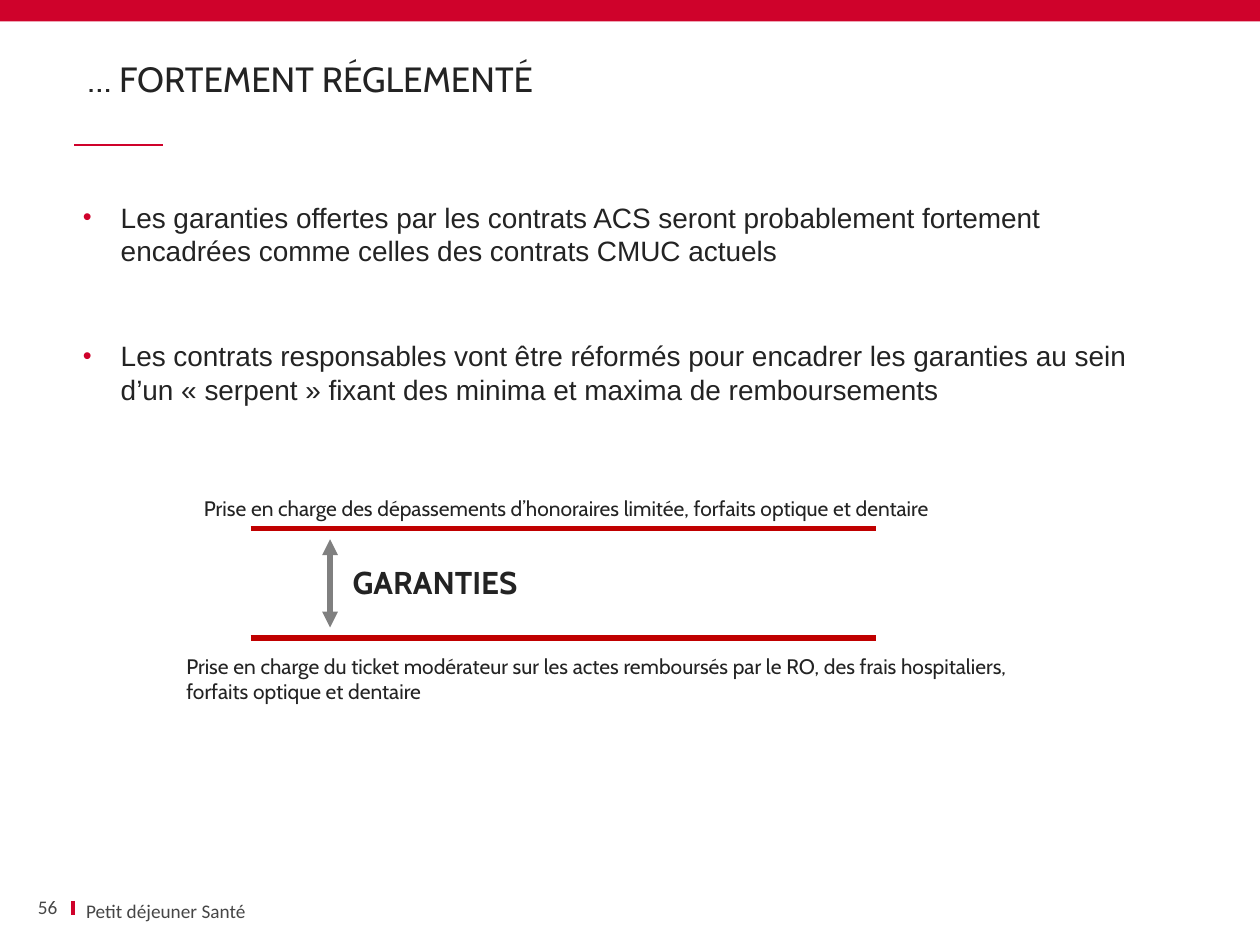
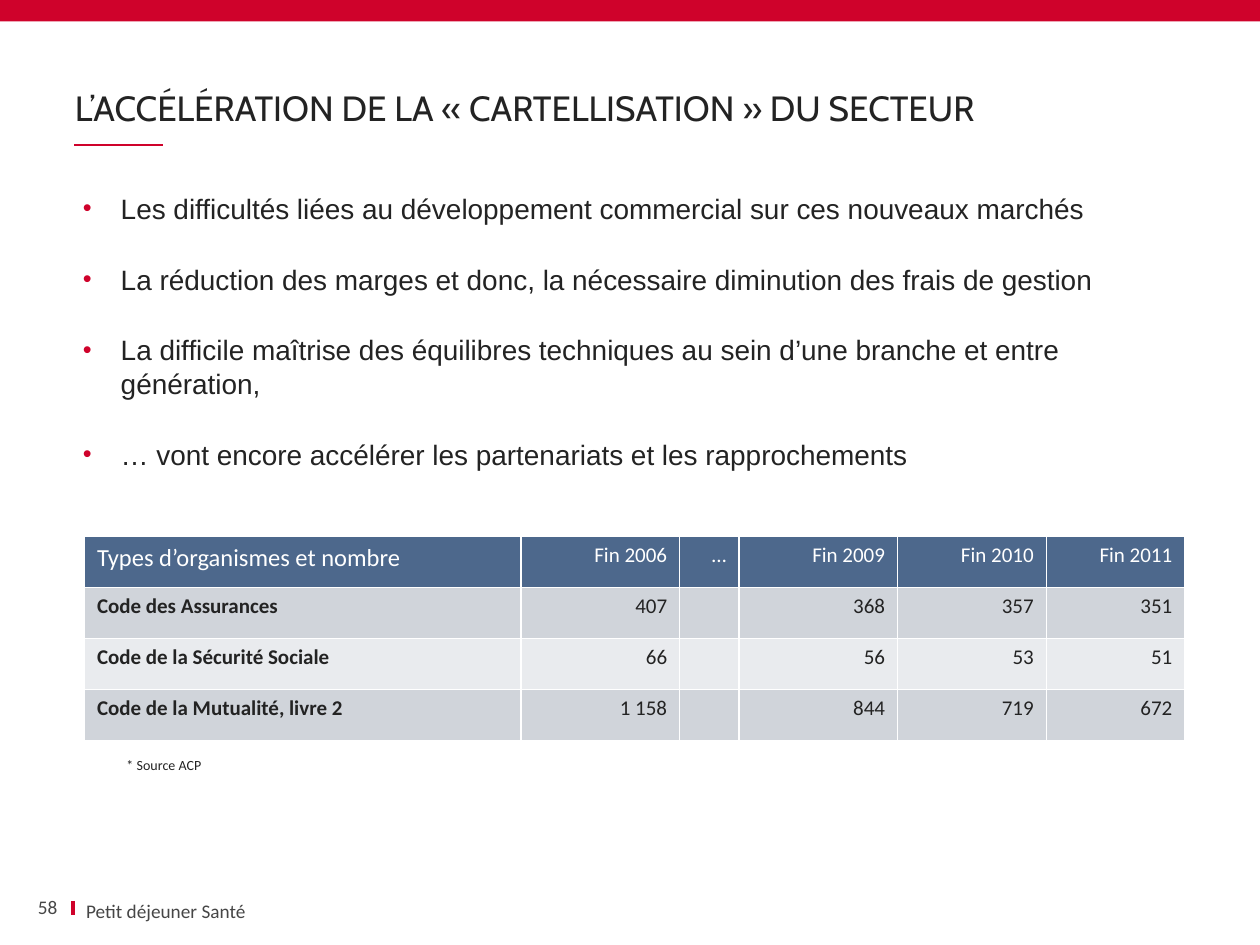
from dataclasses import dataclass

from pptx import Presentation
from pptx.dml.color import RGBColor
from pptx.enum.shapes import MSO_CONNECTOR as Connector, MSO_SHAPE as Shape
from pptx.enum.text import MSO_ANCHOR as Anchor, MSO_AUTO_SIZE as AutoSize, PP_ALIGN as Align
from pptx.oxml import parse_xml
from pptx.oxml.ns import nsdecls, qn
from pptx.util import Inches, Pt

COLUMNS, ROWS = 100, 75
SLIDE_WIDTH, SLIDE_HEIGHT = Inches(10), Inches(7.5)
TITLE_ONLY = 5


@dataclass(frozen=True)
class Theme:
    red: str = "CF022B"
    dark_red: str = "C00000"
    grey: str = "808080"
    ink: str = "232323"
    footer_ink: str = "464646"
    white: str = "FFFFFF"
    header: str = "4D688C"
    bands: tuple = ("D0D4DA", "E9EBEE")
    heading_font: str = "Cabin"
    body_font: str = "Arial"
    table_font: str = "Calibri"
    title: int = 20
    label: int = 18
    body: int = 16
    table_title: int = 14
    text: int = 12
    footer: int = 11
    note: int = 8


THEME = Theme()


@dataclass(frozen=True)
class Box:
    """A rectangle in grid columns and rows."""
    left: float
    top: float
    width: float
    height: float

    def inner(self, left, top, width, height):
        return Box(self.left + left, self.top + top, width, height)

    def lengths(self):
        column, row = SLIDE_WIDTH / COLUMNS, SLIDE_HEIGHT / ROWS
        return [round(value) for value in (self.left * column, self.top * row,
                                           self.width * column, self.height * row)]


PAGE = Box(0, 0, COLUMNS, ROWS)


def set_values(target, values):
    for name, value in values.items():
        setattr(target, name, value)


def set_font(paragraph, size, name, color=THEME.ink, bold=False):
    set_values(paragraph.font, {"size": Pt(size), "name": name, "bold": bold})
    paragraph.font.color.rgb = RGBColor.from_string(color)


def set_fill(target, color):
    target.fill.solid()
    target.fill.fore_color.rgb = RGBColor.from_string(color)


def add_text(slide, box, text, size, font=THEME.heading_font, color=THEME.ink,
             bold=False, align=Align.LEFT, **frame_values):
    frame = slide.shapes.add_textbox(*box.lengths()).text_frame
    set_values(frame, {"word_wrap": True, **frame_values})
    paragraph = frame.paragraphs[0]
    set_values(paragraph, {"text": text, "alignment": align})
    set_font(paragraph, size, font, color, bold)


def add_line(slide, box, color, weight, arrows=False):
    """Draw from the box's top left corner to its bottom right corner."""
    left, top, width, height = box.lengths()
    line = slide.shapes.add_connector(Connector.STRAIGHT, left, top, left + width, top + height)
    line.line.color.rgb = RGBColor.from_string(color)
    line.line.width = Pt(weight)
    properties = line.element.spPr
    if arrows:
        for end in ("headEnd", "tailEnd"):
            properties.find(qn("a:ln")).append(
                parse_xml(f'<a:{end} {nsdecls("a")} type="triangle"/>'))
    properties.append(parse_xml(f'<a:effectLst {nsdecls("a")}/>'))


def add_footer(slide, box, number):
    style = {"size": THEME.footer, "font": THEME.table_font, "color": THEME.footer_ink,
             "vertical_anchor": Anchor.MIDDLE}
    add_text(slide, box.inner(0, 0, 3.25, 1.8), str(number), align=Align.RIGHT,
             margin_left=0, margin_right=0, **style)
    add_line(slide, box.inner(4.5, 0.4, 0, 1.1), THEME.red, 2.25)
    add_text(slide, box.inner(4.55, 0.25, 49.7, 1.8), "Petit déjeuner Santé", **style)


def add_title(slide, box, text, anchor, margin):
    slide.shapes.title.text = text
    set_values(slide.shapes.title, dict(zip(("left", "top", "width", "height"), box.lengths())))
    frame = slide.shapes.title.text_frame
    set_values(frame, {"vertical_anchor": anchor, "auto_size": AutoSize.NONE,
                       "word_wrap": True, "margin_left": margin, "margin_right": margin})
    paragraph = frame.paragraphs[0]
    set_values(paragraph, {"alignment": Align.LEFT, "line_spacing": 0.9})
    set_font(paragraph, THEME.title, THEME.heading_font)


def add_page(presentation, number, title, anchor=Anchor.BOTTOM, margin=0):
    """Add a slide with the band, title, rule and footer that all slides share."""
    slide = presentation.slides.add_slide(presentation.slide_layouts[TITLE_ONLY])
    band = slide.shapes.add_shape(Shape.RECTANGLE, *PAGE.inner(0, 0, COLUMNS, 1.7).lengths())
    band.shadow.inherit = False
    set_fill(band, THEME.red)
    band.line.fill.background()
    add_title(slide, PAGE.inner(5.95, 2.17, 88, 8.6), title, anchor, margin)
    add_line(slide, PAGE.inner(5.9, 11.5, 7, 0), THEME.red, 1)
    add_footer(slide, PAGE.inner(1.3, 71.1, 60, 2.1), number)
    return slide


def add_bullets(slide, box, texts, gap):
    frame = slide.shapes.add_textbox(*box.lengths()).text_frame
    frame.word_wrap = True
    for index, text in enumerate(texts):
        paragraph = frame.paragraphs[0] if index == 0 else frame.add_paragraph()
        set_values(paragraph, {"text": text, "space_before": Pt(gap if index else 0)})
        properties = paragraph._p.get_or_add_pPr()
        properties.set("marL", str(Inches(0.3)))
        properties.set("indent", str(-Inches(0.3)))
        for element in (f'<a:buClr {nsdecls("a")}><a:srgbClr val="{THEME.red}"/></a:buClr>',
                        f'<a:buSzPct {nsdecls("a")} val="90000"/>',
                        f'<a:buFont {nsdecls("a")} typeface="{THEME.body_font}"/>',
                        f'<a:buChar {nsdecls("a")} char="•"/>'):
            properties.append(parse_xml(element))
        set_font(paragraph, THEME.body, THEME.body_font)


def add_corridor(slide, box, ceiling, label, floor):
    """Show a label between two limits, each with its caption outside."""
    add_text(slide, box.inner(1.4, 0, 79.5, 3.1), ceiling, THEME.text)
    for row in (3.15, 11.83):
        add_line(slide, box.inner(6.1, row, 49.6, 0), THEME.dark_red, 3)
    add_line(slide, box.inner(12.4, 4, 0, 7), THEME.grey, 3, arrows=True)
    add_text(slide, box.inner(13.2, 5.4, 36.2, 4), label, THEME.label, bold=True)
    add_text(slide, box.inner(0, 12.6, 69.5, 5), floor, THEME.text)


def set_borders(cell, color):
    properties = cell._tc.get_or_add_tcPr()
    for index, side in enumerate(("lnL", "lnR", "lnT", "lnB")):
        properties.insert(index, parse_xml(
            f'<a:{side} {nsdecls("a")} w="{Pt(1)}"><a:solidFill>'
            f'<a:srgbClr val="{color}"/></a:solidFill></a:{side}>'))


def add_count_table(slide, box, column_widths, rows):
    table = slide.shapes.add_table(len(rows), len(column_widths), *box.lengths()).table
    set_values(table, {"first_row": False, "horz_banding": False})
    for column, width in zip(table.columns, column_widths):
        column.width = round(width * SLIDE_WIDTH / COLUMNS)
    for row_index, values in enumerate(rows):
        is_header = row_index == 0
        for column_index, value in enumerate(values):
            is_name = column_index == 0
            cell = table.cell(row_index, column_index)
            set_fill(cell, THEME.header if is_header else THEME.bands[(row_index - 1) % 2])
            set_borders(cell, THEME.white)
            paragraph = cell.text_frame.paragraphs[0]
            set_values(paragraph, {"text": value,
                                   "alignment": Align.LEFT if is_name else Align.RIGHT})
            set_font(paragraph, THEME.table_title if is_header and is_name else THEME.text,
                     THEME.table_font, THEME.white if is_header else THEME.ink,
                     bold=is_name and not is_header)


def build_regulation_slide(presentation):
    slide = add_page(presentation, 56, "… FORTEMENT RÉGLEMENTÉ", Anchor.MIDDLE, Inches(0.1))
    add_bullets(slide, PAGE.inner(5.6, 15.4, 88.5, 20), [
        "Les garanties offertes par les contrats ACS seront probablement fortement "
        "encadrées comme celles des contrats CMUC actuels",
        "Les contrats responsables vont être réformés pour encadrer les garanties au sein "
        "d’un « serpent » fixant des minima et maxima de remboursements",
    ], gap=40.7)
    add_corridor(
        slide, PAGE.inner(13.8, 38.8, 81, 17.6),
        "Prise en charge des dépassements d’honoraires limitée, forfaits optique et dentaire",
        "GARANTIES",
        "Prise en charge du ticket modérateur sur les actes remboursés par le RO, "
        "des frais hospitaliers, forfaits optique et dentaire")


def build_consolidation_slide(presentation):
    slide = add_page(presentation, 58, "L’ACCÉLÉRATION DE LA « CARTELLISATION » DU SECTEUR")
    add_bullets(slide, PAGE.inner(5.6, 14.7, 88.5, 25), [
        "Les difficultés liées au développement commercial sur ces nouveaux marchés",
        "La réduction des marges et donc, la nécessaire diminution des frais de gestion",
        "La difficile maîtrise des équilibres techniques au sein d’une branche et entre "
        "génération,",
        "… vont encore accélérer les partenariats et les rapprochements",
    ], gap=21.2)
    add_count_table(slide, PAGE.inner(6.7, 42.57, 87.4, 16.2), (34.65, 12.6, 4.7, 12.6, 11.8, 11), [
        ("Types d’organismes et nombre", "Fin 2006", "…", "Fin 2009", "Fin 2010", "Fin 2011"),
        ("Code des Assurances", "407", "", "368", "357", "351"),
        ("Code de la Sécurité Sociale", "66", "", "56", "53", "51"),
        ("Code de la Mutualité, livre 2", "1 158", "", "844", "719", "672"),
    ])
    add_text(slide, PAGE.inner(9.05, 59.55, 25.2, 2.4), "* Source ACP",
             THEME.note, THEME.table_font)


def main():
    presentation = Presentation()
    set_values(presentation, {"slide_width": SLIDE_WIDTH, "slide_height": SLIDE_HEIGHT})
    build_regulation_slide(presentation)
    build_consolidation_slide(presentation)
    presentation.save("out.pptx")


if __name__ == "__main__":
    main()
